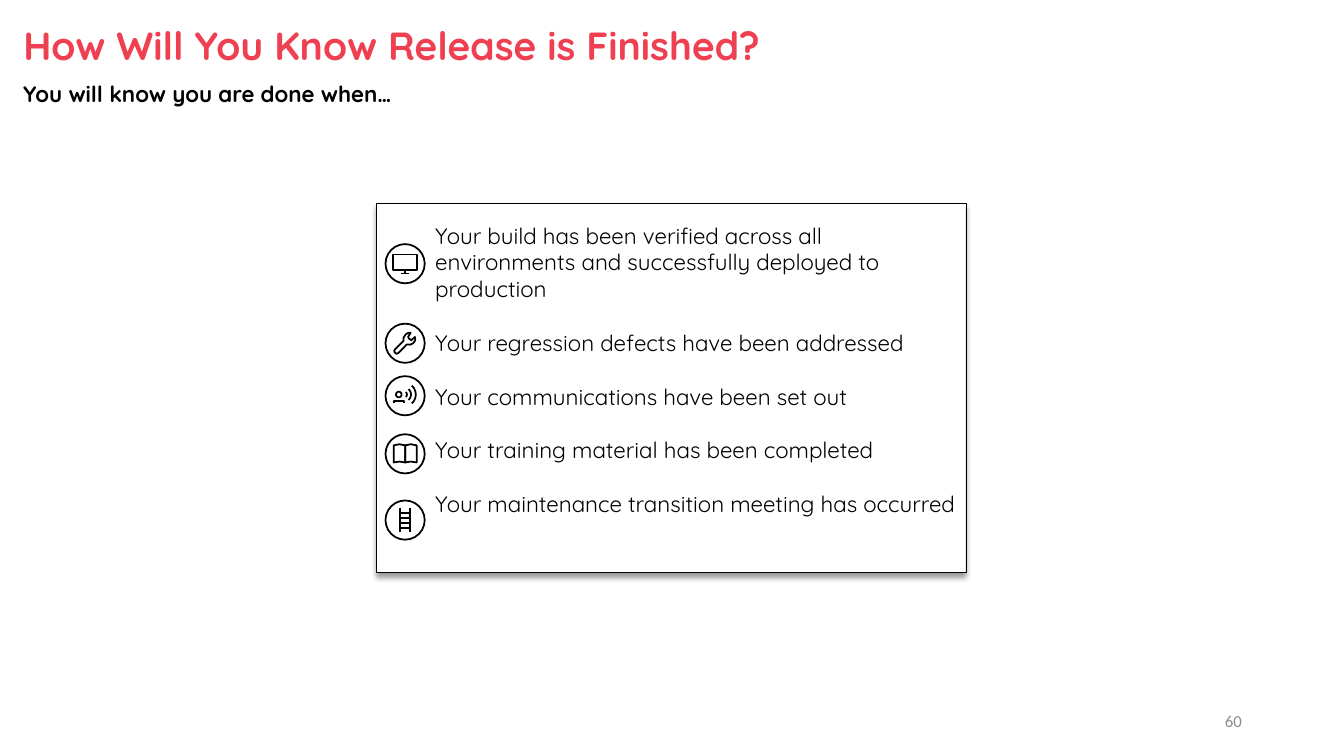
"""Build the release checklist slide."""
import dataclasses
import math

import pptx
import pptx.dml.color
import pptx.enum.shapes
import pptx.enum.text
import pptx.oxml
import pptx.oxml.ns
import pptx.util

Pt = pptx.util.Pt
Align = pptx.enum.text.PP_ALIGN
Anchor = pptx.enum.text.MSO_ANCHOR
Shape = pptx.enum.shapes.MSO_SHAPE


@dataclasses.dataclass(frozen=True)
class Theme:
    red: str = "EF4051"
    ink: str = "000000"
    gray: str = "8C8C8C"
    white: str = "FFFFFF"
    font: str = "Quicksand"
    plain: str = "Calibri"
    head: int = 28
    body: int = 16
    small: int = 12
    pitch: float = 19.2
    ring: float = 28
    pen: float = 1.25


def tint(code):
    return pptx.dml.color.RGBColor.from_string(code)


def write(frame, text, *, font, size, color, bold=False, align=Align.LEFT,
          anchor=Anchor.TOP, pitch=None, gap=0):
    frame.word_wrap = True
    frame.auto_size = pptx.enum.text.MSO_AUTO_SIZE.NONE
    frame.vertical_anchor = anchor
    frame.text = text
    for para in frame.paragraphs:
        para.alignment = align
        para.space_before = Pt(0)
        para.space_after = Pt(gap)
        if pitch:
            para.line_spacing = Pt(pitch)
        for run in para.runs:
            run.font.name = font
            run.font.size = Pt(size)
            run.font.bold = bold
            run.font.color.rgb = tint(color)


def arc(x, y, r, start, end):
    steps = 16
    turns = [math.radians(start + (end - start) * i / steps)
             for i in range(steps + 1)]
    return [(x + r * math.cos(t), y + r * math.sin(t)) for t in turns]


class Page:
    def __init__(self, deck, theme):
        self.theme = theme
        self.slide = deck.slides.add_slide(deck.slide_layouts[5])
        self.shapes = self.slide.shapes

    def title(self, text, x, y, w, h, **style):
        item = self.shapes.title
        item.left, item.top, item.width, item.height = map(Pt, (x, y, w, h))
        write(item.text_frame, text, **style)

    def text(self, text, x, y, w, h, **style):
        item = self.shapes.add_textbox(*map(Pt, (x, y, w, h)))
        write(item.text_frame, text, **style)

    def outline(self, item, width):
        item.shadow.inherit = False
        item.line.color.rgb = tint(self.theme.ink)
        item.line.width = Pt(width)

    def card(self, x, y, w, h):
        item = self.shapes.add_shape(Shape.RECTANGLE, *map(Pt, (x, y, w, h)))
        self.outline(item, 0.25)
        item.fill.solid()
        item.fill.fore_color.rgb = tint(self.theme.white)
        shade = pptx.oxml.parse_xml(
            f'<a:outerShdw {pptx.oxml.ns.nsdecls("a")} blurRad="{Pt(4)}" '
            f'dist="{Pt(3)}" dir="5400000" algn="t" rotWithShape="0">'
            f'<a:srgbClr val="{self.theme.ink}"><a:alpha val="40000"/>'
            '</a:srgbClr></a:outerShdw>')
        item._element.spPr.find(pptx.oxml.ns.qn("a:effectLst")).append(shade)

    def icon(self, x, y, strokes):
        size = self.theme.ring
        ring = self.shapes.add_shape(
            Shape.OVAL, Pt(x - size / 2), Pt(y - size / 2), Pt(size), Pt(size))
        first = strokes[0][0]
        pen = self.shapes.build_freeform(Pt(x + first[0]), Pt(y + first[1]))
        for stroke in strokes:
            spots = [(Pt(x + dx), Pt(y + dy)) for dx, dy in stroke]
            pen.move_to(*spots[0])
            pen.add_line_segments(spots[1:], close=False)
        for item in (ring, pen.convert_to_shape()):
            item.fill.background()
            self.outline(item, self.theme.pen)


SCREEN = [
    [(-8.5, -6.5), (8.5, -6.5), (8.5, 4.7), (-8.5, 4.7), (-8.5, -6.5)],
    [(0, 4.7), (0, 7)],
    [(-3, 7), (3, 7)],
]
WRENCH = [[
    (4, -7.6), (2.1, -4.5), (2.9, -3.2), (4.5, -2.2), (7, -4.5), (7.2, -2),
    (5.8, 0), (3.6, 1), (1.2, 0.8), (-4.7, 6.9), (-6.1, 7.5), (-7.5, 6.5),
    (-7.8, 5.3), (-7.2, 4.3), (-1.1, -1.8), (-1.1, -4), (0.4, -6.4),
    (2.2, -7.4), (4, -7.6),
]]
VOICE = [
    arc(-4.5, -0.9, 2, 0, 360),
    [(-8, 5.4), (-8, 3.6), (-0.7, 3.6), (-0.7, 5.4)],
    *(arc(-1, -0.9, r, -48, 48) for r in (2.3, 5.2, 8.6)),
]
BOOK = [
    [(0, -6.1), (side * 4, -6.9), (side * 8.2, -6.1), (side * 8.2, 6.1),
     (side * 4, 5.5), (0, 6.1), (0, -6.1)]
    for side in (-1, 1)
]
LADDER = [
    *([(x, -8.4), (x, 8.6)] for x in (-3.7, 3.7)),
    *([(-3.7, y), (3.7, y)] for y in (-5, -1.45, 2.1, 5.65)),
]
ICONS = [(188.4, SCREEN), (245.2, WRENCH), (282.7, VOICE), (324.2, BOOK),
         (371.5, LADDER)]
GOALS = [
    "Your build has been verified across all environments and successfully "
    "deployed to production",
    "Your regression defects have been addressed",
    "Your communications have been set out",
    "Your training material has been completed",
    "Your maintenance transition meeting has occurred",
]


def main():
    deck = pptx.Presentation()
    deck.slide_width, deck.slide_height = Pt(960), Pt(540)
    theme = Theme()
    page = Page(deck, theme)
    page.title("How Will You Know Release is Finished?", 9.4, 15.8, 595.4, 36.7,
               font=theme.font, size=theme.head, color=theme.red, bold=True,
               anchor=Anchor.BOTTOM)
    page.text("You will know you are done when…", 9.4, 53.3, 885, 26.6,
              font=theme.font, size=theme.body, color=theme.ink, bold=True,
              anchor=Anchor.BOTTOM)
    page.card(268.6, 145.4, 421.2, 263.5)
    page.text("\n".join(GOALS), 303.8, 154.8, 387.4, 243.4,
              font=theme.font, size=theme.body, color=theme.ink,
              pitch=theme.pitch, gap=theme.pitch)
    for y, strokes in ICONS:
        page.icon(289.4, y, strokes)
    page.text("60", 678.2, 500.4, 216, 28.8, font=theme.plain,
              size=theme.small, color=theme.gray, align=Align.RIGHT,
              anchor=Anchor.MIDDLE)
    deck.save("out.pptx")


if __name__ == "__main__":
    main()
